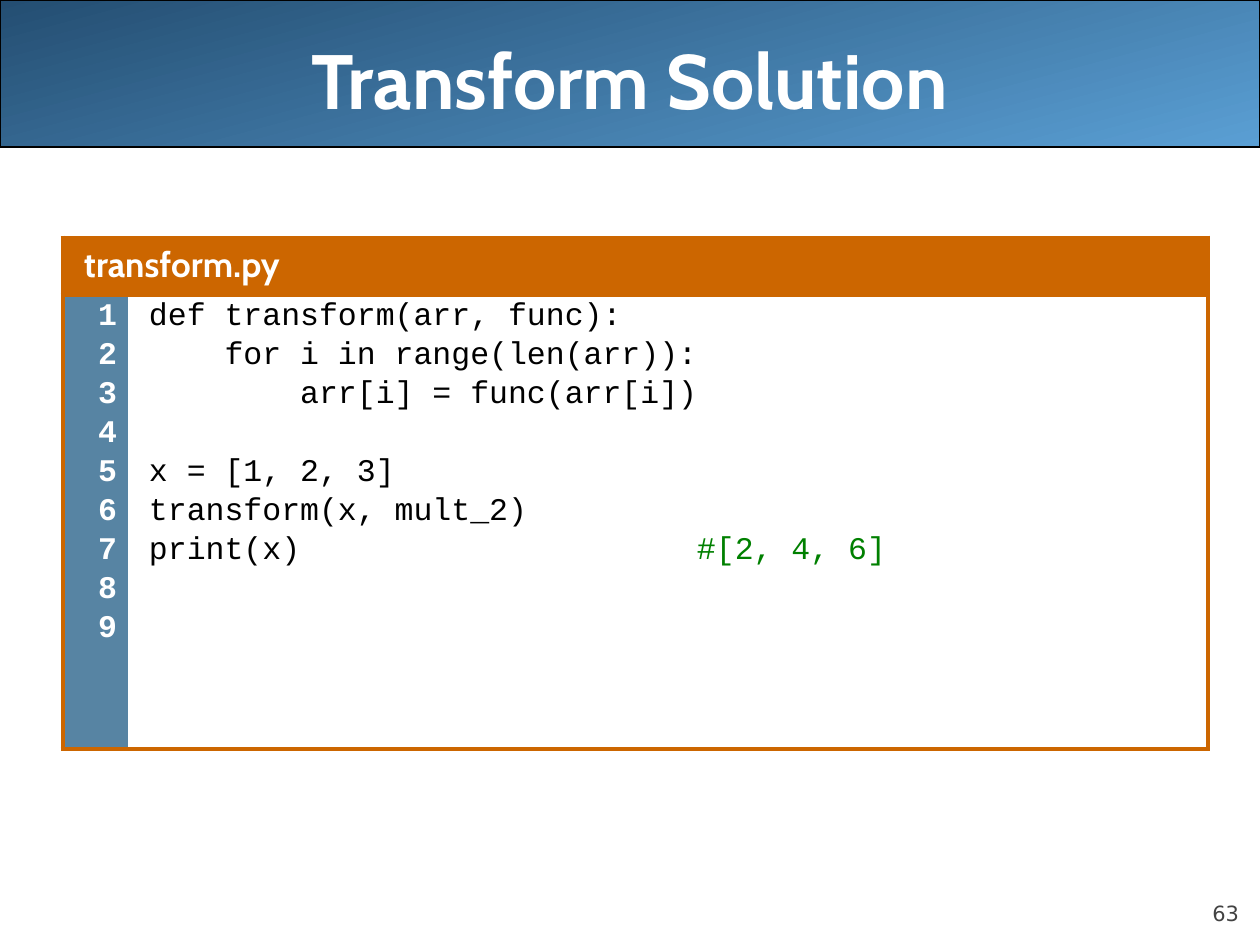
from dataclasses import dataclass

from lxml import etree
from pptx import Presentation
from pptx.dml.color import RGBColor
from pptx.enum.shapes import MSO_SHAPE
from pptx.enum.text import MSO_ANCHOR, PP_ALIGN
from pptx.oxml.ns import qn
from pptx.util import Emu, Pt

LEFT, CENTER, RIGHT = PP_ALIGN.LEFT, PP_ALIGN.CENTER, PP_ALIGN.RIGHT
TOP, MIDDLE, BOTTOM = MSO_ANCHOR.TOP, MSO_ANCHOR.MIDDLE, MSO_ANCHOR.BOTTOM
RECTANGLE = MSO_SHAPE.RECTANGLE

TITLE = "Transform Solution"
PAGE_NUMBER = "63"
FILE_NAME = "transform.py"
LINE_COUNT = 9
CODE = [
    ("def transform(arr, func):", ""),
    ("    for i in range(len(arr)):", ""),
    ("        arr[i] = func(arr[i])", ""),
    ("", ""),
    ("x = [1, 2, 3]", ""),
    ("transform(x, mult_2)", ""),
    ("print(x)", "#[2, 4, 6]"),
]

SLIDE = (1260, 945)
BANNER = (0, 0, 1260, 147)
TITLE_BOX = (0, 0, 1260, 157)
PAGE_BOX = (1134, 876, 105, 50)
TABLE_AT = (63, 238)
COLUMNS = (65, 1080)
ROWS = (57, 454)
INSET = 6
TEXT_INSET = 21
NUMBER_INSET = 11
COMMENT_TAB = 548
LINE_SPACING, LINE_GAP = 0.87, Pt(4.5)


@dataclass(frozen=True)
class Style:
    size: float
    font: str
    color: str
    bold: bool = False


class Theme:
    banner = ("244E72", "5A9FD4")
    banner_line = "000000"
    frame, frame_width = "CC6600", Pt(3)
    gutter, paper = "5784A3", "FFFFFF"
    title = Style(44, "Cabin", "FFFFFF", True)
    file_name = Style(20, "Cabin", "FFFFFF", True)
    number = Style(18, "Courier New", "FFFFFF", True)
    code = Style(18, "Courier New", "000000")
    comment = Style(18, "Courier New", "008000")
    page = Style(12, "DejaVu Sans", "424242")


def px(length):
    return Emu(length * 914400 // 126)


def apply_style(font, style):
    values = {"size": Pt(style.size), "name": style.font, "bold": style.bold}
    for name, value in values.items():
        setattr(font, name, value)
    font.color.rgb = RGBColor.from_string(style.color)


def add_run(paragraph, text, style):
    run = paragraph.add_run()
    run.text = text
    apply_style(run.font, style)


def add_label(slide, box, text, style, align, anchor):
    frame = slide.shapes.add_textbox(*map(px, box)).text_frame
    values = {"word_wrap": True, "vertical_anchor": anchor, "margin_left": 0,
              "margin_right": 0, "margin_top": 0, "margin_bottom": 0}
    for name, value in values.items():
        setattr(frame, name, value)
    frame.paragraphs[0].alignment = align
    add_run(frame.paragraphs[0], text, style)


def add_banner(slide):
    banner = slide.shapes.add_shape(RECTANGLE, *map(px, BANNER))
    banner.shadow.inherit = False
    banner.fill.gradient()
    banner.fill.gradient_angle = 285
    for stop, color in zip(banner.fill.gradient_stops, Theme.banner):
        stop.color.rgb = RGBColor.from_string(color)
    banner.line.color.rgb = RGBColor.from_string(Theme.banner_line)
    banner.line.width = Pt(0.75)


def format_cell(cell, fill, framed, left=TEXT_INSET, right=INSET):
    """Draw the frame on the sides named in framed, and no line elsewhere."""
    properties = cell._tc.get_or_add_tcPr()
    for side in "LRTB":
        line = etree.SubElement(properties, qn(f"a:ln{side}"), w=str(Theme.frame_width))
        if side in framed:
            solid = etree.SubElement(line, qn("a:solidFill"))
            etree.SubElement(solid, qn("a:srgbClr"), val=Theme.frame)
        else:
            etree.SubElement(line, qn("a:noFill"))
    cell.fill.solid()
    cell.fill.fore_color.rgb = RGBColor.from_string(fill)
    margins = {"margin_left": left, "margin_right": right,
               "margin_top": INSET, "margin_bottom": INSET}
    for name, value in margins.items():
        setattr(cell, name, px(value))


def add_lines(cell, lines, align=LEFT):
    """Write one paragraph for each list of (text, style) runs."""
    frame = cell.text_frame
    for index, runs in enumerate(lines):
        paragraph = frame.add_paragraph() if index else frame.paragraphs[0]
        tabs = etree.SubElement(paragraph._p.get_or_add_pPr(), qn("a:tabLst"))
        etree.SubElement(tabs, qn("a:tab"), pos=str(px(COMMENT_TAB)), algn="l")
        paragraph.alignment = align
        paragraph.line_spacing = LINE_SPACING
        if index:
            paragraph.space_before = LINE_GAP
        apply_style(paragraph.font, runs[0][1])
        for text, style in runs:
            if text:
                add_run(paragraph, text, style)


def add_listing(slide):
    size = (sum(COLUMNS), sum(ROWS))
    table = slide.shapes.add_table(2, 2, *map(px, TABLE_AT + size)).table
    table.first_row = table.horz_banding = False
    for column, width in zip(table.columns, COLUMNS):
        column.width = px(width)
    for row, height in zip(table.rows, ROWS):
        row.height = px(height)

    header, header_end = table.cell(0, 0), table.cell(0, 1)
    header.merge(header_end)
    for cell in (header, header_end):
        format_cell(cell, Theme.frame, "LRTB")
    add_run(header.text_frame.paragraphs[0], FILE_NAME, Theme.file_name)

    gutter, code = table.cell(1, 0), table.cell(1, 1)
    format_cell(gutter, Theme.gutter, "LTB", left=INSET, right=NUMBER_INSET)
    add_lines(gutter, [[(str(n), Theme.number)] for n in range(1, LINE_COUNT + 1)], RIGHT)
    format_cell(code, Theme.paper, "RTB")
    add_lines(code, [
        [(text + "\t" if comment else text, Theme.code), (comment, Theme.comment)]
        for text, comment in CODE
    ])


def main():
    deck = Presentation()
    deck.slide_width, deck.slide_height = map(px, SLIDE)
    slide = deck.slides.add_slide(deck.slide_layouts[6])
    add_banner(slide)
    add_label(slide, PAGE_BOX, PAGE_NUMBER, Theme.page, RIGHT, BOTTOM)
    add_label(slide, TITLE_BOX, TITLE, Theme.title, CENTER, MIDDLE)
    add_listing(slide)
    deck.save("out.pptx")


if __name__ == "__main__":
    main()
